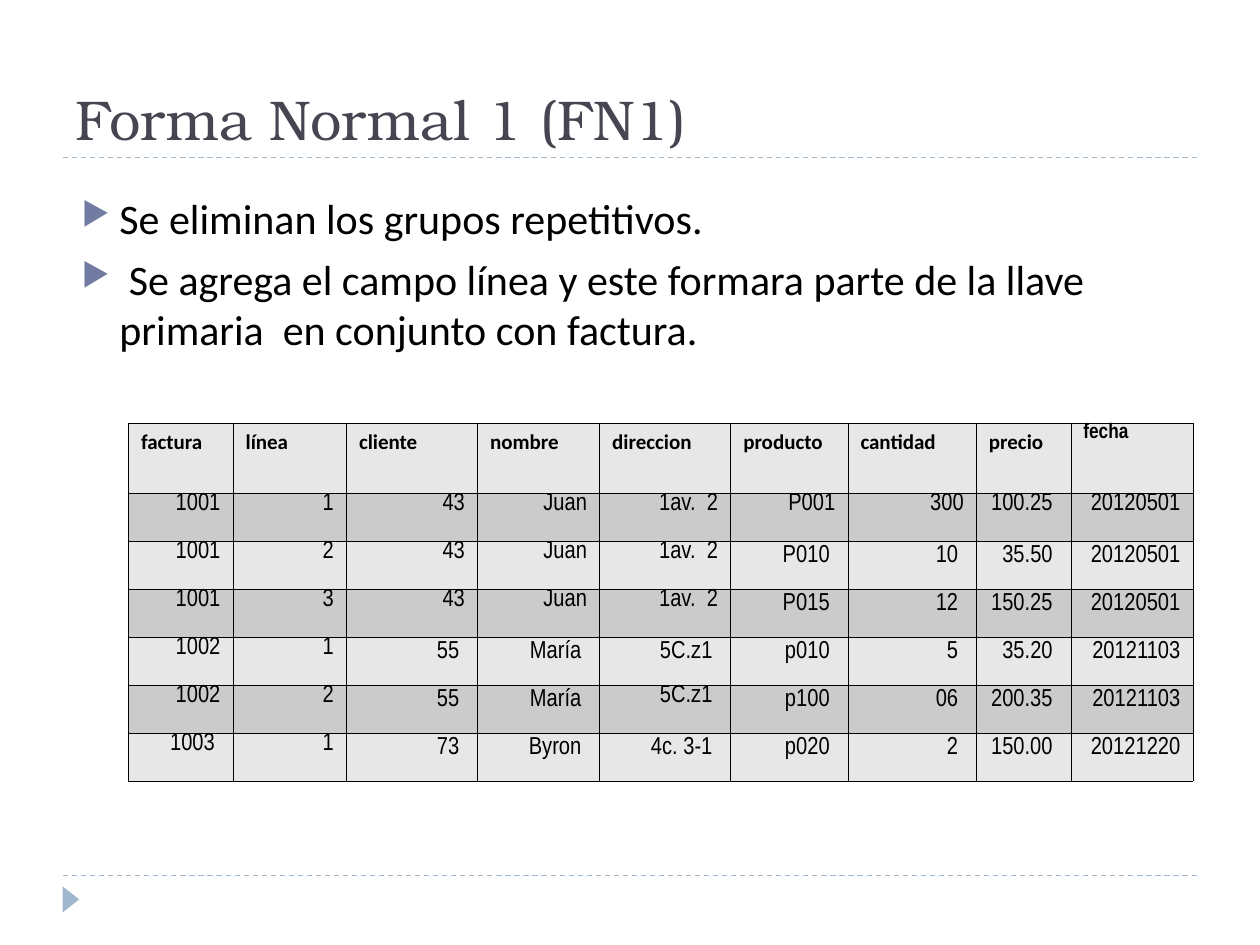
from lxml.etree import SubElement
from pptx import Presentation
from pptx.dml.color import RGBColor
from pptx.enum.dml import MSO_LINE
from pptx.enum.shapes import MSO_CONNECTOR, MSO_SHAPE
from pptx.enum.text import MSO_ANCHOR, PP_ALIGN
from pptx.oxml.ns import qn
from pptx.util import Pt

TITLE_COLOR = RGBColor(0x46, 0x46, 0x53)
ACCENT = RGBColor(0x9F, 0xB8, 0xCD)
BULLET_COLOR = RGBColor(0x72, 0x7C, 0xA3)
BLACK = RGBColor(0, 0, 0)
LIGHT_ROW = RGBColor(0xE7, 0xE7, 0xE7)
DARK_ROW = RGBColor(0xCB, 0xCB, 0xCB)

TITLE_FONT = "TeX Gyre Bonum"
BODY_FONT = "Calibri"
TABLE_FONT = "Arial Narrow"

BULLETS = [
    "Se eliminan los grupos repetitivos.",
    " Se agrega el campo línea y este formara parte de la llave "
    "primaria  en conjunto con factura.",
]
HEADERS = ["factura", "línea", "cliente", "nombre", "direccion",
           "producto", "cantidad", "precio", "fecha"]
INVOICE_LINES = [
    ["1001", "1", "43", "Juan", "1av.  2", "P001", "300", "100.25 ", "20120501"],
    ["1001", "2", "43", "Juan", "1av.  2", "P010 ", "10 ", "35.50 ", "20120501"],
    ["1001", "3", "43", "Juan", "1av.  2", "P015 ", "12 ", "150.25 ", "20120501"],
    ["1002", "1", "55 ", "María ", "5C.z1 ", "p010 ", "5 ", "35.20 ", "20121103"],
    ["1002", "2", "55 ", "María ", "5C.z1 ", "p100 ", "06 ", "200.35 ", "20121103"],
    ["1003 ", "1", "73 ", "Byron ", "4c. 3-1 ", "p020 ", "2 ", "150.00 ", "20121220"],
]
# Columns with open line spacing, for each invoice line
OPEN_COLUMNS = [(), range(5, 9), range(5, 9), range(2, 9),
                (2, 3, 5, 6, 7, 8), range(2, 9)]
COLUMN_WIDTHS = [59.8, 64.8, 74.9, 69.8, 74.9, 67, 73.4, 54, 69.8]
HEADER_HEIGHT, ROW_HEIGHT = 39.9, 27.43


class SlideBuilder:
    def __init__(self, slide):
        self.slide = slide

    def add_run(self, paragraph, text, font, size, color=BLACK, bold=False):
        run = paragraph.add_run()
        run.text = text
        run.font.name = font
        run.font.size = Pt(size)
        run.font.bold = bold
        run.font.color.rgb = color

    def add_text_frame(self, left, top, width, height, anchor):
        box = self.slide.shapes.add_textbox(
            Pt(left), Pt(top), Pt(width), Pt(height))
        frame = box.text_frame
        frame.word_wrap = True
        frame.vertical_anchor = anchor
        return frame

    def add_title(self, text):
        frame = self.add_text_frame(36, 12, 648, 78, MSO_ANCHOR.BOTTOM)
        self.add_run(frame.paragraphs[0], text, TITLE_FONT, 32, TITLE_COLOR)

    def add_bullets(self, texts):
        frame = self.add_text_frame(39.6, 106.5, 648, 389, MSO_ANCHOR.TOP)
        for index, text in enumerate(texts):
            paragraph = frame.add_paragraph() if index else frame.paragraphs[0]
            self.set_bullet(paragraph)
            if index:
                paragraph.space_before = Pt(6)
            self.add_run(paragraph, text, BODY_FONT, 24)

    def set_bullet(self, paragraph):
        properties = paragraph._p.get_or_add_pPr()
        properties.set("marL", str(Pt(21.6)))
        properties.set("indent", str(-Pt(21.6)))
        color = SubElement(properties, qn("a:buClr"))
        SubElement(color, qn("a:srgbClr"), val=str(BULLET_COLOR))
        SubElement(properties, qn("a:buSzPct"), val="76000")
        SubElement(properties, qn("a:buChar"), char="▶")

    def add_dashed_rule(self, y):
        rule = self.slide.shapes.add_connector(
            MSO_CONNECTOR.STRAIGHT, Pt(36), Pt(y), Pt(684), Pt(y))
        rule.line.color.rgb = ACCENT
        rule.line.width = Pt(0.75)
        rule.line.dash_style = MSO_LINE.DASH
        SubElement(rule._element.spPr, qn("a:effectLst"))

    def add_page_marker(self):
        marker = self.slide.shapes.add_shape(
            MSO_SHAPE.ISOSCELES_TRIANGLE, Pt(33), Pt(509.2), Pt(15), Pt(9.5))
        marker.rotation = 90
        marker.shadow.inherit = False
        marker.fill.solid()
        marker.fill.fore_color.rgb = ACCENT
        marker.line.fill.background()

    def add_table(self, left, top):
        row_count = len(INVOICE_LINES) + 1
        height = HEADER_HEIGHT + ROW_HEIGHT * len(INVOICE_LINES)
        table = self.slide.shapes.add_table(
            row_count, len(HEADERS), Pt(left), Pt(top),
            Pt(sum(COLUMN_WIDTHS)), Pt(height)).table
        for column, width in zip(table.columns, COLUMN_WIDTHS):
            column.width = Pt(width)
        for index, row in enumerate(table.rows):
            row.height = Pt(ROW_HEIGHT if index else HEADER_HEIGHT)

        for column, text in enumerate(HEADERS):
            is_date = text == "fecha"
            cell = table.cell(0, column)
            self.style_cell(cell, LIGHT_ROW, 0 if is_date else 3.6)
            self.add_run(cell.text_frame.paragraphs[0], text,
                         TABLE_FONT if is_date else BODY_FONT, 12, bold=True)
        for row, values in enumerate(INVOICE_LINES, start=1):
            for column, text in enumerate(values):
                cell = table.cell(row, column)
                self.style_cell(cell, DARK_ROW if row % 2 else LIGHT_ROW, 0)
                paragraph = cell.text_frame.paragraphs[0]
                paragraph.alignment = PP_ALIGN.RIGHT
                if column in OPEN_COLUMNS[row - 1]:
                    paragraph.line_spacing = 1.15
                    paragraph.space_after = Pt(10)
                self.add_run(paragraph, text, TABLE_FONT, 14)

    def style_cell(self, cell, fill, top_margin):
        cell.margin_left = cell.margin_right = Pt(7.2)
        cell.margin_top = Pt(top_margin)
        cell.margin_bottom = Pt(0)
        properties = cell._tc.get_or_add_tcPr()
        for side in ("a:lnL", "a:lnR", "a:lnT", "a:lnB"):
            border = SubElement(properties, qn(side), w=str(Pt(0.45)))
            solid = SubElement(border, qn("a:solidFill"))
            SubElement(solid, qn("a:srgbClr"), val=str(BLACK))
        cell.fill.solid()
        cell.fill.fore_color.rgb = fill


def main():
    presentation = Presentation()
    presentation.slide_width = Pt(720)
    presentation.slide_height = Pt(540)
    slide = presentation.slides.add_slide(presentation.slide_layouts[6])
    builder = SlideBuilder(slide)
    for y in (500.4, 90):
        builder.add_dashed_rule(y)
    builder.add_page_marker()
    builder.add_title("Forma Normal 1 (FN1)")
    builder.add_bullets(BULLETS)
    builder.add_table(73.4, 241.9)
    presentation.save("out.pptx")


if __name__ == "__main__":
    main()
